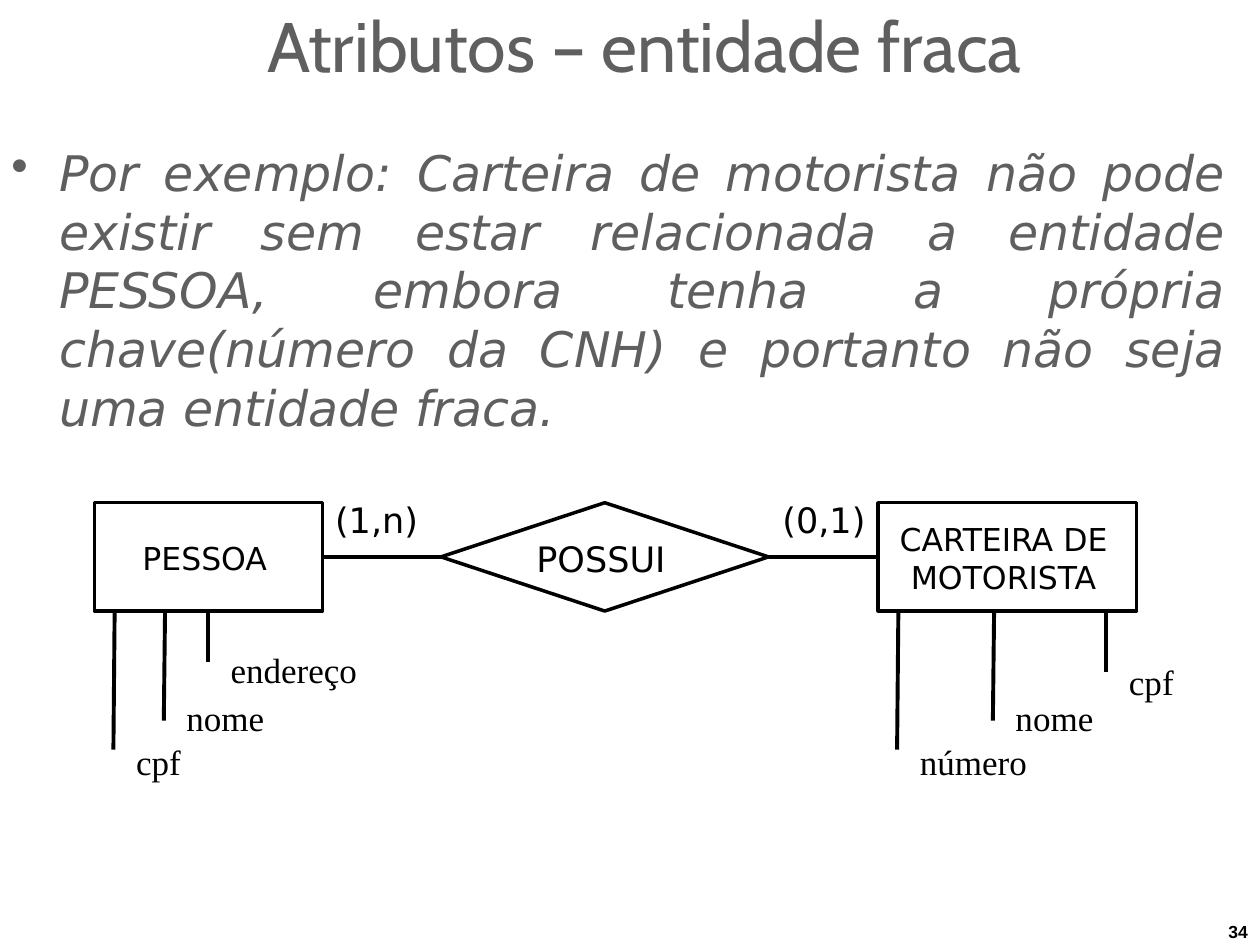
from dataclasses import dataclass
from typing import Any

from lxml.etree import SubElement
from pptx import Presentation
from pptx.dml.color import RGBColor
from pptx.enum.shapes import MSO_CONNECTOR, MSO_SHAPE
from pptx.enum.text import MSO_ANCHOR, PP_ALIGN
from pptx.oxml.ns import qn
from pptx.util import Inches, Pt


@dataclass(frozen=True)
class Theme:
    ink: RGBColor = RGBColor(0, 0, 0)
    gray: RGBColor = RGBColor(0x5F, 0x5F, 0x5F)
    paper: RGBColor = RGBColor(255, 255, 255)
    title: Pt = Pt(40)
    body: Pt = Pt(28)
    label: Pt = Pt(20)
    entity: Pt = Pt(18)
    number: Pt = Pt(10)
    outline: Pt = Pt(2)
    stem: Pt = Pt(2.25)
    sans: str = "DejaVu Sans"
    serif: str = "Times New Roman"


@dataclass(frozen=True)
class Node:
    text: str
    kind: MSO_SHAPE
    left: float
    width: float
    size: Pt


@dataclass(frozen=True)
class Attribute:
    text: str
    x: float
    end: float
    top: float
    width: float
    slant: float = 0.01


THEME = Theme()
TOP, HEIGHT = 3.99, 0.86
MIDDLE, BOTTOM = TOP + HEIGHT / 2, TOP + HEIGHT

NODES = [
    Node("PESSOA", MSO_SHAPE.RECTANGLE, 0.75, 1.81, THEME.entity),
    Node("POSSUI", MSO_SHAPE.DIAMOND, 3.5, 2.6, THEME.label),
    Node("CARTEIRA DE MOTORISTA", MSO_SHAPE.RECTANGLE, 6.97, 2.05, THEME.entity),
]
ATTRIBUTES = [
    Attribute("cpf", 0.91, 5.95, 5.86, 0.38),
    Attribute("nome", 1.31, 5.72, 5.51, 0.64),
    Attribute("endereço", 1.65, 5.25, 5.13, 1.03, 0),
    Attribute("número", 7.13, 5.95, 5.86, 0.88),
    Attribute("nome", 7.89, 5.72, 5.51, 0.64),
    Attribute("cpf", 8.78, 5.33, 5.22, 0.38, 0),
]


def write(tf: Any, text: str, fmt: dict[str, Any], color: RGBColor) -> Any:
    p = tf.paragraphs[0]
    r = p.add_run()
    r.text = text
    for name, value in fmt.items():
        setattr(r.font, name, value)
    r.font.color.rgb = color
    return p


def add_text(s: Any, text: str, box: tuple[float, float, float, float],
             fmt: dict[str, Any], color: RGBColor = THEME.ink, wrap: bool = False) -> Any:
    tf = s.shapes.add_textbox(*map(Inches, box)).text_frame
    frame = dict(margin_left=0, margin_right=0, margin_bottom=0,
                 margin_top=Inches(0.02), word_wrap=wrap)
    for name, value in frame.items():
        setattr(tf, name, value)
    return write(tf, text, fmt, color)


def add_bullet(p: Any, indent: float) -> None:
    pPr = p._p.get_or_add_pPr()
    pPr.set("marL", str(Inches(indent)))
    pPr.set("indent", str(-Inches(indent)))
    SubElement(pPr, qn("a:buChar")).set("char", "•")


def add_node(s: Any, node: Node) -> None:
    sp = s.shapes.add_shape(node.kind, *map(Inches, (node.left, TOP, node.width, HEIGHT)))
    sp.shadow.inherit = False
    sp.fill.solid()
    sp.fill.fore_color.rgb = THEME.paper
    sp.line.color.rgb = THEME.ink
    sp.line.width = THEME.outline
    tf = sp.text_frame
    frame = dict(margin_left=0, margin_right=Inches(0.06), margin_top=Inches(0.02),
                 margin_bottom=0, word_wrap=True, vertical_anchor=MSO_ANCHOR.MIDDLE)
    for name, value in frame.items():
        setattr(tf, name, value)
    p = write(tf, node.text, dict(name=THEME.sans, size=node.size), THEME.ink)
    p.alignment = PP_ALIGN.CENTER


def add_line(s: Any, x1: float, y1: float, x2: float, y2: float) -> None:
    sp = s.shapes.add_connector(MSO_CONNECTOR.STRAIGHT, *map(Inches, (x1, y1, x2, y2)))
    sp.line.color.rgb = THEME.ink
    sp.line.width = THEME.stem
    SubElement(sp._element.spPr, qn("a:effectLst"))


def add_attribute(s: Any, attr: Attribute) -> None:
    foot = attr.x - attr.slant
    add_line(s, attr.x, BOTTOM, foot, attr.end)
    add_text(s, attr.text, (foot + 0.18, attr.top, attr.width, 0.36),
             dict(name=THEME.serif, size=THEME.label))


def main() -> None:
    """Build the weak-entity attributes slide."""
    prs = Presentation()
    prs.slide_width, prs.slide_height = Inches(10), Inches(7.5)
    s = prs.slides.add_slide(prs.slide_layouts[6])

    add_text(s, "Atributos – entidade fraca", (2.12, 0, 6.38, 0.69),
             dict(name="Cabin", size=THEME.title), THEME.gray)
    p = add_text(s, "Por exemplo: Carteira de motorista não pode existir sem estar "
                 "relacionada a entidade PESSOA, embora tenha a própria chave(número "
                 "da CNH) e portanto não seja uma entidade fraca.",
                 (0.09, 1.11, 9.63, 2.36),
                 dict(name=THEME.sans, size=THEME.body, italic=True), THEME.gray, True)
    p.alignment = PP_ALIGN.JUSTIFY
    add_bullet(p, 0.38)

    for node in NODES:
        add_node(s, node)
    for start, end in zip(NODES, NODES[1:]):
        add_line(s, start.left + start.width, MIDDLE, end.left, MIDDLE)
    for attr in ATTRIBUTES:
        add_attribute(s, attr)
    for text, left in (("(1,n)", 2.66), ("(0,1)", 6.21)):
        add_text(s, text, (left, 3.94, 0.7, 0.36), dict(name=THEME.sans, size=THEME.label))
    add_text(s, "34", (9.75, 7.29, 0.2, 0.18),
             dict(name="Arial", size=THEME.number, bold=True))
    prs.save("out.pptx")


if __name__ == "__main__":
    main()
